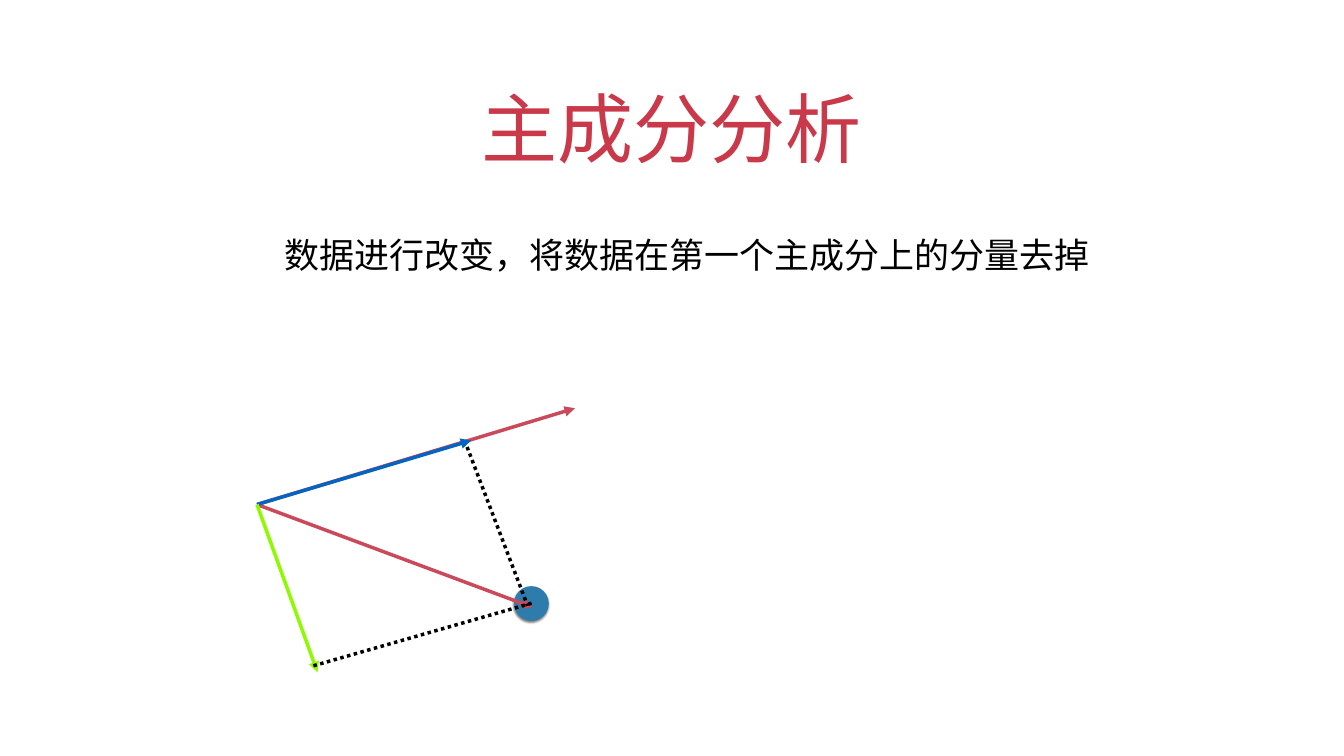
from dataclasses import dataclass
from lxml.etree import SubElement
from pptx import Presentation
from pptx.dml.color import RGBColor
from pptx.enum.dml import MSO_LINE
from pptx.enum.shapes import MSO_CONNECTOR, MSO_SHAPE
from pptx.enum.text import MSO_ANCHOR, PP_ALIGN
from pptx.oxml import parse_xml
from pptx.oxml.ns import nsdecls, qn
from pptx.util import Inches, Pt


@dataclass(frozen=True)
class Theme:
    """Colours, font and sizes of the slide."""
    font: str = "Roboto"
    title: str = "C9394A"
    ink: str = "000000"
    axis: str = "CA495A"
    along: str = "0365C0"
    rest: str = "8EFA00"
    point: str = "2E7CAC"
    head: float = 108.6
    body: float = 50
    stroke: float = 5


def write(frame, text, *, font, size, color, align=PP_ALIGN.LEFT, anchor=MSO_ANCHOR.MIDDLE):
    """Fill a text frame with one formatted paragraph."""
    frame.word_wrap = True
    frame.vertical_anchor = anchor
    frame.margin_left = frame.margin_right = Inches(0.06)
    frame.margin_top = frame.margin_bottom = Inches(0.06)
    para = frame.paragraphs[0]
    para.alignment = align
    run = para.add_run()
    run.text = text
    run.font.name = font
    run.font.size = Pt(size)
    run.font.color.rgb = RGBColor.from_string(color)


class Canvas:
    """Draws styled elements on the current slide."""

    def __init__(self, slide, theme):
        """Keep the slide and its theme."""
        self.slide = slide
        self.theme = theme

    def text(self, box, words, **style):
        """Add a text box."""
        shape = self.slide.shapes.add_textbox(*map(Inches, box))
        write(shape.text_frame, words, font=self.theme.font, **style)

    def line(self, start, end, color, dotted=False):
        """Add an arrow, or a dotted line without a head."""
        link = self.slide.shapes.add_connector(
            MSO_CONNECTOR.STRAIGHT, *map(Inches, (*start, *end)))
        link.line.color.rgb = RGBColor.from_string(color)
        link.line.width = Pt(self.theme.stroke)
        if dotted:
            link.line.dash_style = MSO_LINE.ROUND_DOT
        else:
            SubElement(link.line._get_or_add_ln(), qn("a:tailEnd"), type="triangle")
        SubElement(link._element.spPr, qn("a:effectLst"))

    def dot(self, left, top, size, color):
        """Add a filled circle with a soft shadow below it."""
        shape = self.slide.shapes.add_shape(
            MSO_SHAPE.OVAL, *map(Inches, (left, top, size, size)))
        shape.fill.solid()
        shape.fill.fore_color.rgb = RGBColor.from_string(color)
        shape.line.fill.background()
        shape.shadow.inherit = False
        effects = shape._element.spPr.find(qn("a:effectLst"))
        effects.append(parse_xml(
            f'<a:outerShdw {nsdecls("a")} blurRad="{Pt(3)}" dist="{Pt(2)}" dir="5400000" '
            f'rotWithShape="0"><a:srgbClr val="{self.theme.ink}"><a:alpha val="50000"/>'
            '</a:srgbClr></a:outerShdw>'))


def main():
    """Build and save the slide."""
    deck = Presentation()
    deck.slide_width, deck.slide_height = Inches(26.67), Inches(15)
    theme = Theme()
    page = Canvas(deck.slides.add_slide(deck.slide_layouts[6]), theme)
    root = (5.1, 10.01)

    page.text((1.94, 1.27, 22.78, 2.22), "主成分分析", size=theme.head, color=theme.title,
              align=PP_ALIGN.CENTER, anchor=MSO_ANCHOR.BOTTOM)
    page.dot(10.2, 11.63, 0.69, theme.point)
    page.line(root, (10.57, 12.05), theme.axis)
    page.line((9.22, 8.74), (10.47, 12.02), theme.ink, dotted=True)
    page.line(root, (11.41, 8.1), theme.axis)
    page.line(root, (9.35, 8.74), theme.along)
    page.text((5.59, 4.51, 16.57, 1.08), "数据进行改变，将数据在第一个主成分上的分量去掉",
              size=theme.body, color=theme.ink)
    page.line(root, (6.3, 13.34), theme.rest)
    page.line((6.22, 13.21), (10.58, 11.96), theme.ink, dotted=True)
    deck.save("out.pptx")


if __name__ == "__main__":
    main()
